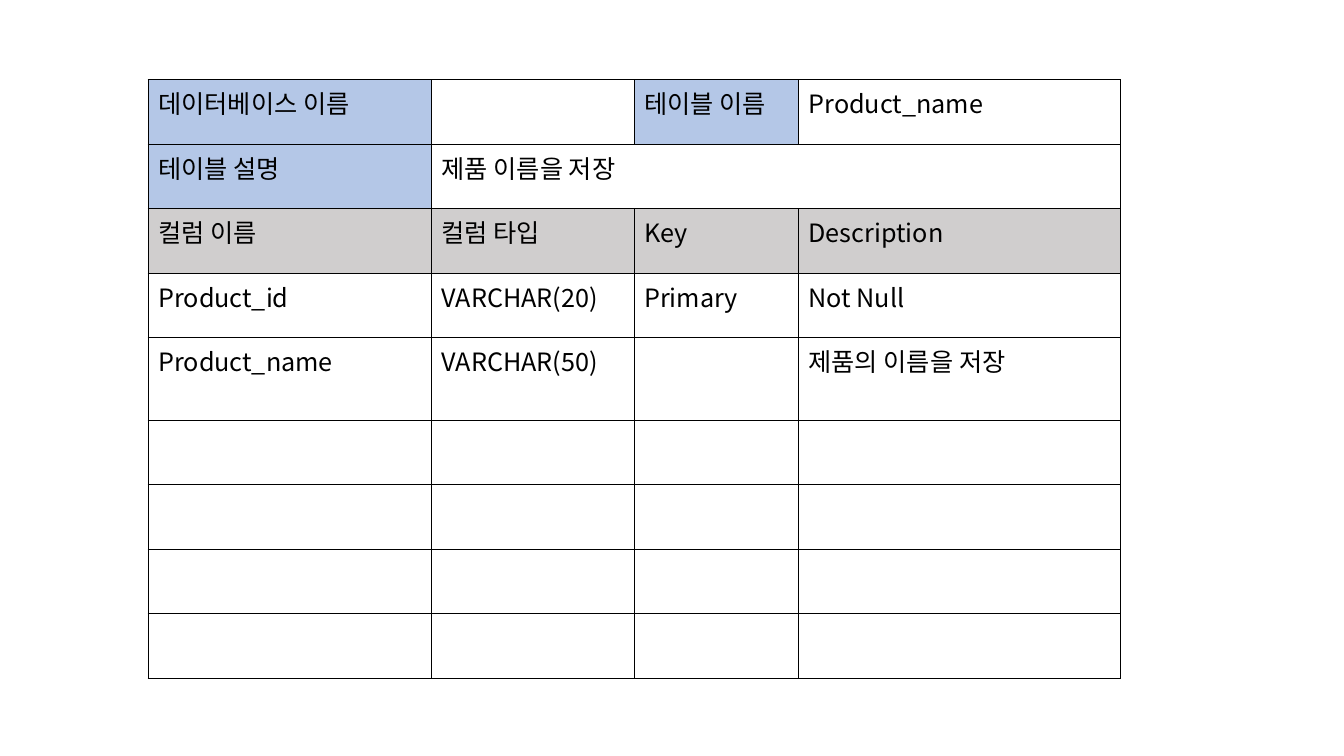
import pptx
import pptx.util
import pptx.oxml
import pptx.oxml.ns
import pptx.dml.color

ROWS = [
    ("데이터베이스 이름", "", "테이블 이름", "Product_name"),
    ("테이블 설명", "제품 이름을 저장", "", ""),
    ("컬럼 이름", "컬럼 타입", "Key", "Description"),
    ("Product_id", "VARCHAR(20)", "Primary", "Not Null"),
    ("Product_name", "VARCHAR(50)", "", "제품의 이름을 저장"),
] + [("",) * 4] * 4
WIDTHS = (2.81, 2.01, 1.63, 3.19)
HIGH = [0.64] * 4 + [0.82] + [0.64] * 4
LEFT, TOP = 1.47, 0.79
LABELS = {(0, 0), (0, 2), (1, 0)}
HEAD = 2

THEME = {
    "font": "Noto Sans CJK KR",
    "size": 18,
    "ink": "000000",
    "label": "B4C7E7",
    "head": "D0CECE",
    "plain": "FFFFFF",
    "line": 1,
}
Inches = pptx.util.Inches
Color = pptx.dml.color.RGBColor.from_string
FORMAT = {"name": THEME["font"], "size": pptx.util.Pt(THEME["size"])}


def shade(row, col):
    if row == HEAD:
        return THEME["head"]
    return THEME["label"] if (row, col) in LABELS else THEME["plain"]


def border(cell):
    props = cell._tc.get_or_add_tcPr()
    for side in ("lnL", "lnR", "lnT", "lnB"):
        props.append(pptx.oxml.parse_xml(
            f'<a:{side} {pptx.oxml.ns.nsdecls("a")} w="{pptx.util.Pt(THEME["line"])}">'
            f'<a:solidFill><a:srgbClr val="{THEME["ink"]}"/></a:solidFill></a:{side}>'))


def write(cell, text):
    run = cell.text_frame.paragraphs[0].add_run()
    run.text = text
    for key, value in FORMAT.items():
        setattr(run.font, key, value)
    run.font.color.rgb = Color(THEME["ink"])
    run._r.get_or_add_rPr().append(pptx.oxml.parse_xml(
        f'<a:ea {pptx.oxml.ns.nsdecls("a")} typeface="{THEME["font"]}"/>'))


def main():
    deck = pptx.Presentation()
    deck.slide_width, deck.slide_height = Inches(13.33), Inches(7.5)
    slide = deck.slides.add_slide(deck.slide_layouts[6])
    table = slide.shapes.add_table(
        len(ROWS), len(WIDTHS), Inches(LEFT), Inches(TOP),
        Inches(sum(WIDTHS)), Inches(sum(HIGH))).table
    table.first_row = table.horz_banding = False
    for col, width in zip(table.columns, WIDTHS):
        col.width = Inches(width)
    for row, height in zip(table.rows, HIGH):
        row.height = Inches(height)
    table.cell(1, 1).merge(table.cell(1, 3))
    for r, texts in enumerate(ROWS):
        for c, text in enumerate(texts):
            cell = table.cell(r, c)
            border(cell)
            cell.fill.solid()
            cell.fill.fore_color.rgb = Color(shade(r, c))
            if text:
                write(cell, text)
    deck.save("out.pptx")


if __name__ == "__main__":
    main()
